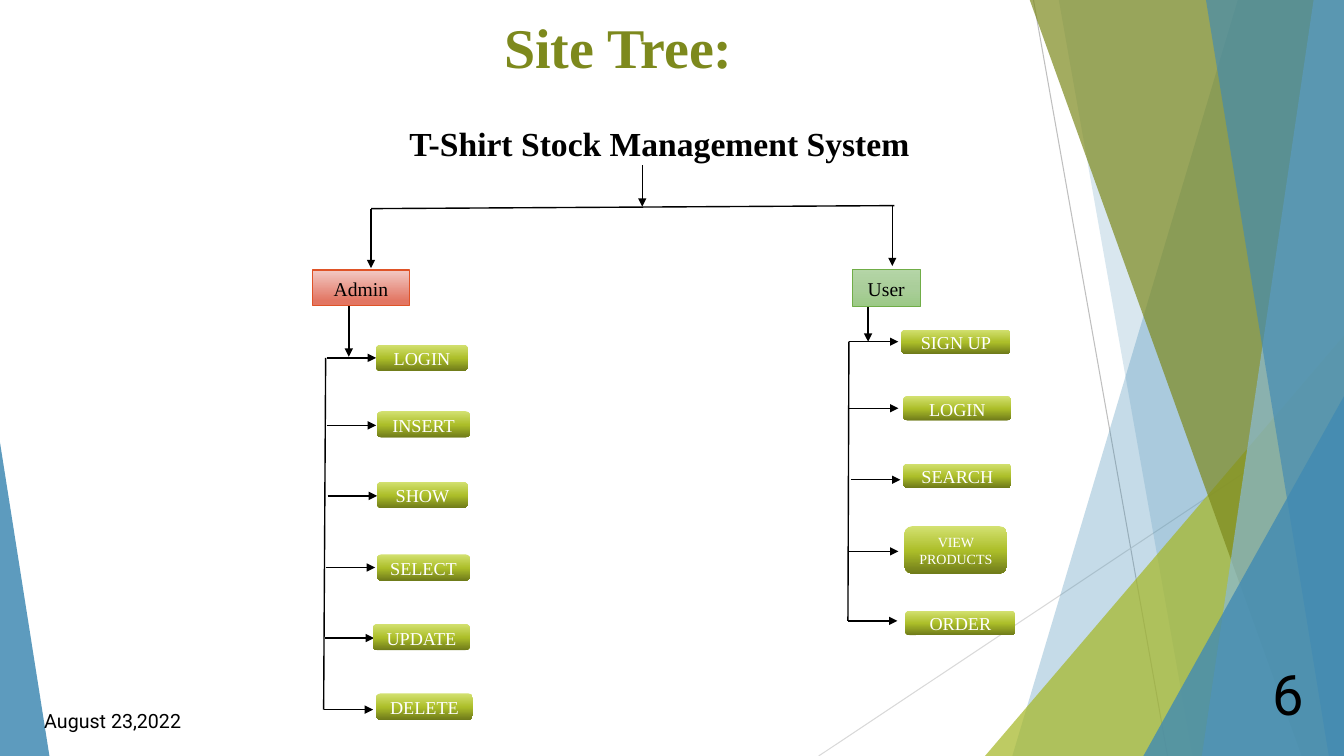
from dataclasses import dataclass
from lxml.etree import SubElement
from pptx import Presentation
from pptx.dml.color import RGBColor
from pptx.enum.shapes import MSO_CONNECTOR, MSO_SHAPE
from pptx.enum.text import MSO_ANCHOR, PP_ALIGN
from pptx.oxml.ns import qn
from pptx.util import Inches, Pt


@dataclass(frozen=True)
class Theme:
    serif: str = "Times New Roman"
    sans: str = "Roboto"
    black: str = "000000"
    white: str = "FFFFFF"
    blue: str = "418AB3"
    sky: str = "8ABAD4"
    lime: str = "A6B727"
    olive: str = "7D891D"
    grey: str = "BFBFBF"
    pale_grey: str = "D9D9D9"
    admin_line: str = "DF5327"
    user_line: str = "70AD47"
    admin_fade: tuple = ((0, "F2C9C4"), (88, "E27562"))
    user_fade: tuple = ((0, "B5D5A7"), (50, "AACE9A"), (100, "9CC987"))
    page_fade: tuple = ((0, "D3E171"), (52, "ACBE29"), (100, "6F7B1A"))
    heading: int = 40
    subtitle: int = 24
    label: int = 14
    page: int = 13
    small: int = 10


theme = Theme()
presentation = Presentation()
presentation.slide_width = Inches(13.33)
presentation.slide_height = Inches(7.5)
slide = presentation.slides.add_slide(presentation.slide_layouts[5])
shapes = slide.shapes


def draw_line(start, end, colour=theme.black, width=1, arrow=False):
    line = shapes.add_connector(MSO_CONNECTOR.STRAIGHT, *map(Inches, start + end))
    line.line.color.rgb = RGBColor.from_string(colour)
    line.line.width = Pt(width)
    if arrow:
        SubElement(line.line._ln, qn("a:tailEnd"), type="triangle")
    SubElement(line._element.spPr, qn("a:effectLst"))


def write(holder, text, size, colour=theme.black, font=theme.serif, bold=False,
          align=PP_ALIGN.CENTER, anchor=MSO_ANCHOR.MIDDLE, spacing=1.07, after=8):
    frame = holder.text_frame
    frame.word_wrap = True
    frame.vertical_anchor = anchor
    frame.text = text
    paragraph = frame.paragraphs[0]
    paragraph_format = {"alignment": align, "line_spacing": spacing,
                        "space_before": Pt(0), "space_after": Pt(after)}
    for name, value in paragraph_format.items():
        setattr(paragraph, name, value)
    run_font = paragraph.runs[0].font
    for name, value in {"name": font, "size": Pt(size), "bold": bold}.items():
        setattr(run_font, name, value)
    run_font.color.rgb = RGBColor.from_string(colour)


draw_line((10.25, 0), (11.58, 7.5), theme.grey, 0.75)
draw_line((13.33, 4.03), (8.12, 7.5), theme.pale_grey, 0.75)

facets = [
    ((12.28, 10.04), theme.blue, 30),
    ((10.5, 11.83), theme.blue, 20),
    ((9.77, 3.33, 3.56, 4.17, 1), theme.lime, 72),
    ((10.21, 12.91), theme.olive, 70),
    ((13.03, 11.92), theme.sky, 70),
    ((11.96, 13.18), theme.blue, 65),
    ((11.34, 3.93, 1.99, 3.57, 1), theme.blue, 80),
    ((0, 4.39, 0.49, 3.11, 0), theme.blue, 85),
]
for outline, colour, opacity in facets:
    if len(outline) == 2:
        top_x, foot_x = outline
        builder = shapes.build_freeform(Inches(top_x), Inches(-0.01))
        corners = [(13.33, -0.01), (13.33, 7.5), (foot_x, 7.5)]
        builder.add_line_segments([tuple(map(Inches, corner)) for corner in corners])
        facet = builder.convert_to_shape()
    else:
        *bounds, apex = outline
        facet = shapes.add_shape(MSO_SHAPE.ISOSCELES_TRIANGLE, *map(Inches, bounds))
        facet.adjustments[0] = apex
    facet.shadow.inherit = False
    facet.line.fill.background()
    facet.fill.solid()
    facet.fill.fore_color.rgb = RGBColor.from_string(colour)
    tint = facet._element.spPr.find(".//" + qn("a:srgbClr"))
    SubElement(tint, qn("a:alpha"), val=str(opacity * 1000))

title = shapes.title
title_place = {"left": 4.9, "top": 0.03, "width": 2.5, "height": 0.77}
for name, value in title_place.items():
    setattr(title, name, Inches(value))
write(title, "Site Tree:", theme.heading, theme.olive, bold=True,
      align=PP_ALIGN.LEFT, anchor=MSO_ANCHOR.TOP)

captions = [
    ((12.28, 6.68, 0.75, 0.4), "6",
     {"size": theme.heading, "font": theme.sans, "align": PP_ALIGN.RIGHT,
      "spacing": 1, "after": 0}),
    ((3.25, 1.14, 6.58, 0.5), "T-Shirt Stock Management System",
     {"size": theme.subtitle, "bold": True, "anchor": MSO_ANCHOR.TOP}),
    ((0.34, 6.98, 1.91, 0.34), "August 23,2022",
     {"size": theme.label, "font": theme.sans, "align": PP_ALIGN.LEFT,
      "anchor": MSO_ANCHOR.TOP, "spacing": 1, "after": 0}),
]
for bounds, text, style in captions:
    write(shapes.add_textbox(*map(Inches, bounds)), text, **style)

draw_line((3.68, 2.07), (8.87, 2.04))
stems = [(6.37, 1.64, 2.05), (3.68, 2.07, 2.66), (8.85, 2.04, 2.64),
         (3.46, 3.03, 3.54), (8.61, 3.04, 3.39)]
for x, top, foot in stems:
    draw_line((x, top), (x, foot), arrow=True)

spines = [((3.23, 3.55), (3.21, 7.04)), ((8.42, 3.39), (8.41, 6.16))]
for top, foot in spines:
    draw_line(top, foot)

pages = [
    ("LOGIN", (3.73, 3.42, 0.91, 0.26), (3.24, 3.55)),
    ("INSERT", (3.74, 4.08, 0.92, 0.26), (3.24, 4.22)),
    ("SHOW", (3.74, 4.78, 0.9, 0.26), (3.25, 4.92)),
    ("SELECT", (3.74, 5.5, 0.92, 0.26), (3.23, 5.63)),
    ("UPDATE", (3.7, 6.19, 0.96, 0.26), (3.22, 6.33)),
    ("DELETE", (3.73, 6.88, 0.96, 0.26), (3.21, 7.04)),
    ("SIGN UP", (8.94, 3.27, 1.08, 0.24), (8.42, 3.39)),
    ("LOGIN", (8.96, 3.93, 1.07, 0.24), (8.42, 4.05)),
    ("SEARCH", (8.96, 4.6, 1.07, 0.24), (8.44, 4.76)),
    ("VIEW PRODUCTS", (8.97, 5.22, 1.02, 0.47), (8.42, 5.47)),
    ("ORDER", (8.98, 6.06, 1.09, 0.24), (8.41, 6.16)),
]
nodes = [
    ("Admin", (3.1, 2.68, 0.96, 0.35), theme.admin_fade, (theme.admin_line, 1)),
    ("User", (8.45, 2.67, 0.68, 0.37), theme.user_fade, (theme.user_line, 0.5)),
]
for text, bounds, (x, y) in pages:
    draw_line((x, y), (x + 0.49, y), arrow=True)
    nodes.append((text, bounds, theme.page_fade, None))

for text, bounds, fade, border in nodes:
    preset = MSO_SHAPE.RECTANGLE if border else MSO_SHAPE.ROUNDED_RECTANGLE
    node = shapes.add_shape(preset, *map(Inches, bounds))
    node.shadow.inherit = False
    node.fill.gradient()
    node.fill.gradient_angle = 270
    stops = node._element.spPr.find(".//" + qn("a:gsLst"))
    for stop in list(stops):
        stops.remove(stop)
    for position, colour in fade:
        stop = SubElement(stops, qn("a:gs"), pos=str(position * 1000))
        SubElement(stop, qn("a:srgbClr"), val=colour)
    if border:
        colour, width = border
        node.line.color.rgb = RGBColor.from_string(colour)
        node.line.width = Pt(width)
        write(node, text, theme.label)
    else:
        node.line.fill.background()
        size = theme.small if text == "VIEW PRODUCTS" else theme.page
        write(node, text, size, theme.white)

presentation.save("out.pptx")
